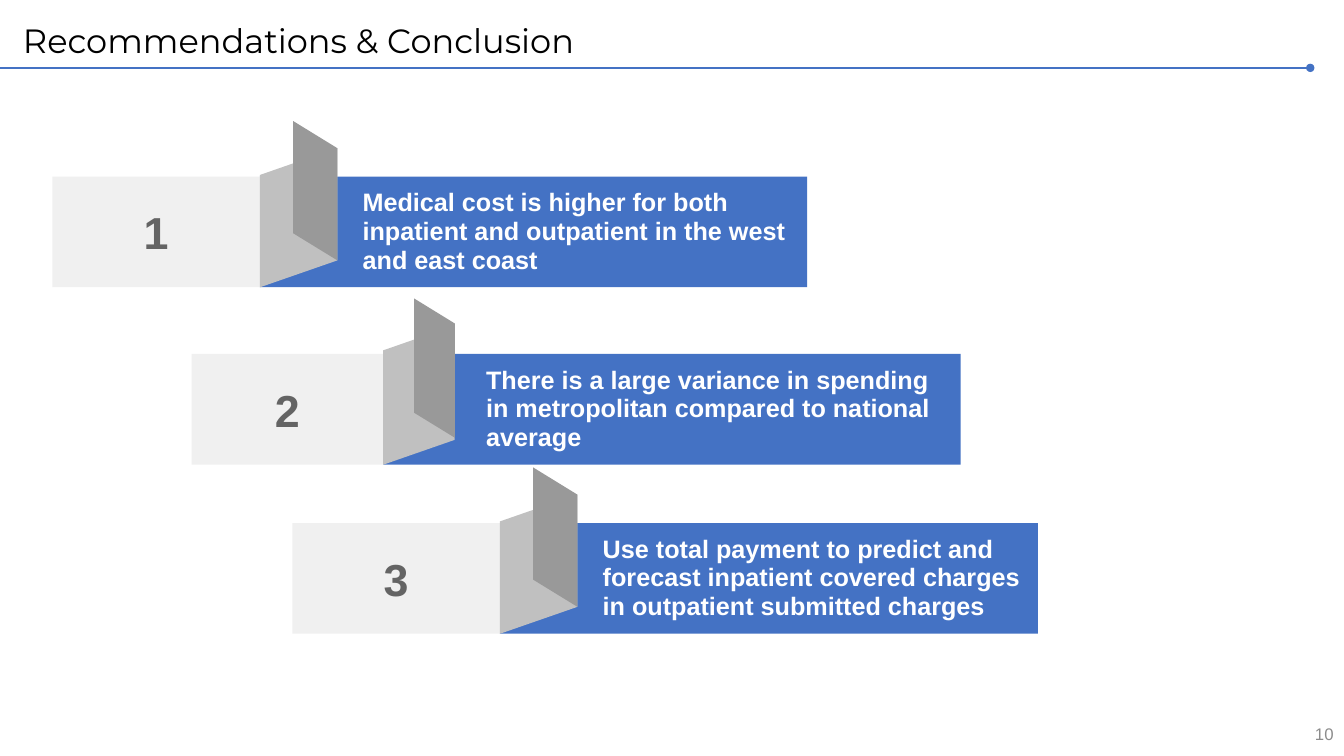
from lxml import etree
from pptx import Presentation, util as u
from pptx.dml.color import RGBColor
from pptx.enum import shapes, text
from pptx.oxml import ns

TITLE = "Recommendations & Conclusion"
PAGE = "10"
ROWS = [
    dict(num="1", left=1.32, top=4.45, tag=5.23, bar=13.79,
         msg="Medical cost is higher for both inpatient and outpatient in the west and east coast"),
    dict(num="2", left=4.83, top=8.92, tag=4.83, bar=14.55,
         msg="There is a large variance in spending in metropolitan compared to national average"),
    dict(num="3", left=7.37, top=13.18, tag=5.23, bar=13.56,
         msg="Use total payment to predict and forecast inpatient covered charges in outpatient submitted charges"),
]
THEME = dict(
    accent="4472C4", tag="F0F0F0", fold="C0C0C0", flap="999999",
    title=dict(size=24, name="Montserrat", color="000000"),
    page=dict(size=12, name="Arial", color="8C8C8C"),
    num=dict(size=32, name="Arial", color="646464", bold=True),
    msg=dict(size=18, name="Arial", color="FFFFFF", bold=True),
)
ROW_H, FOLD_H, FLAP_RISE = 2.79, 3.51, 1.4
FOLD_RATIO, FLAP_RATIO = 0.373, 0.57
FOLD_ADJ, FLAP_ADJ = 0.348, 0.614
ALIGN = text.PP_ALIGN


def rgb(value):
    return RGBColor.from_string(value)


def write(sp, words, style, align=ALIGN.LEFT, inset=0.25, **para):
    tf = sp.text_frame
    frame = dict(word_wrap=True, vertical_anchor=text.MSO_ANCHOR.MIDDLE,
                 margin_left=u.Cm(inset), margin_right=u.Cm(0.25),
                 margin_top=u.Cm(0.13), margin_bottom=u.Cm(0.13))
    for key, value in frame.items():
        setattr(tf, key, value)
    p = tf.paragraphs[0]
    for key, value in dict(para, alignment=align).items():
        setattr(p, key, value)
    r = p.add_run()
    r.text = words
    for key, value in style.items():
        if key == "color":
            r.font.color.rgb = rgb(value)
        else:
            setattr(r.font, key, u.Pt(value) if key == "size" else value)


def text_box(s, box, words, style, **para):
    write(s.shapes.add_textbox(*map(u.Cm, box)), words, style, **para)


def block(parent, kind, box, fill):
    sp = parent.shapes.add_shape(kind, *map(u.Cm, box))
    sp.shadow.inherit = False
    sp.fill.solid()
    sp.fill.fore_color.rgb = rgb(fill)
    sp.line.fill.background()
    return sp


def upright(parent, left, top, width, fill, adj, turn):
    box = (left + (width - FOLD_H) / 2, top + (FOLD_H - width) / 2, FOLD_H, width)
    sp = block(parent, shapes.MSO_SHAPE.PARALLELOGRAM, box, fill)
    sp.adjustments[0] = adj
    sp.rotation = turn
    return sp


def ribbon(s, num, left, top, tag, bar, msg):
    grp = s.shapes.add_group_shape()
    rect = shapes.MSO_SHAPE.RECTANGLE
    seam = left + tag
    fold_w = tag * FOLD_RATIO
    flap_w = fold_w * FLAP_RATIO
    sp = block(grp, rect, (seam, top, bar, ROW_H), THEME["accent"])
    write(sp, msg, THEME["msg"], inset=2.59, line_spacing=0.95, space_after=u.Pt(8))
    sp = block(grp, rect, (left, top, tag, ROW_H), THEME["tag"])
    write(sp, num, THEME["num"], align=ALIGN.CENTER)
    fold = upright(grp, seam, top + ROW_H - FOLD_H, fold_w, THEME["fold"], FOLD_ADJ, 90)
    fold._element.spPr.get_or_add_xfrm().set("flipH", "1")
    upright(grp, seam + fold_w - flap_w, top - FLAP_RISE, flap_w,
            THEME["flap"], FLAP_ADJ, 270)


def title_rule(s):
    rule = s.shapes.add_connector(shapes.MSO_CONNECTOR.STRAIGHT,
                                  *map(u.Cm, (0, 1.71, 33.02, 1.71)))
    rule.line.color.rgb = rgb(THEME["accent"])
    rule.line.width = u.Pt(1.5)
    etree.SubElement(rule.line._get_or_add_ln(), ns.qn("a:tailEnd"), type="oval")
    etree.SubElement(rule._element.spPr, ns.qn("a:effectLst"))


def main():
    prs = Presentation()
    prs.slide_width, prs.slide_height = u.Cm(33.87), u.Cm(19.05)
    s = prs.slides.add_slide(prs.slide_layouts[6])
    title_rule(s)
    text_box(s, (0.33, 0.38, 29.21, 1.4), TITLE, THEME["title"], line_spacing=0.9)
    text_box(s, (29.54, 17.91, 4.32, 1.14), PAGE, THEME["page"], align=ALIGN.RIGHT)
    for row in ROWS:
        ribbon(s, **row)
    prs.save("out.pptx")


if __name__ == "__main__":
    main()
